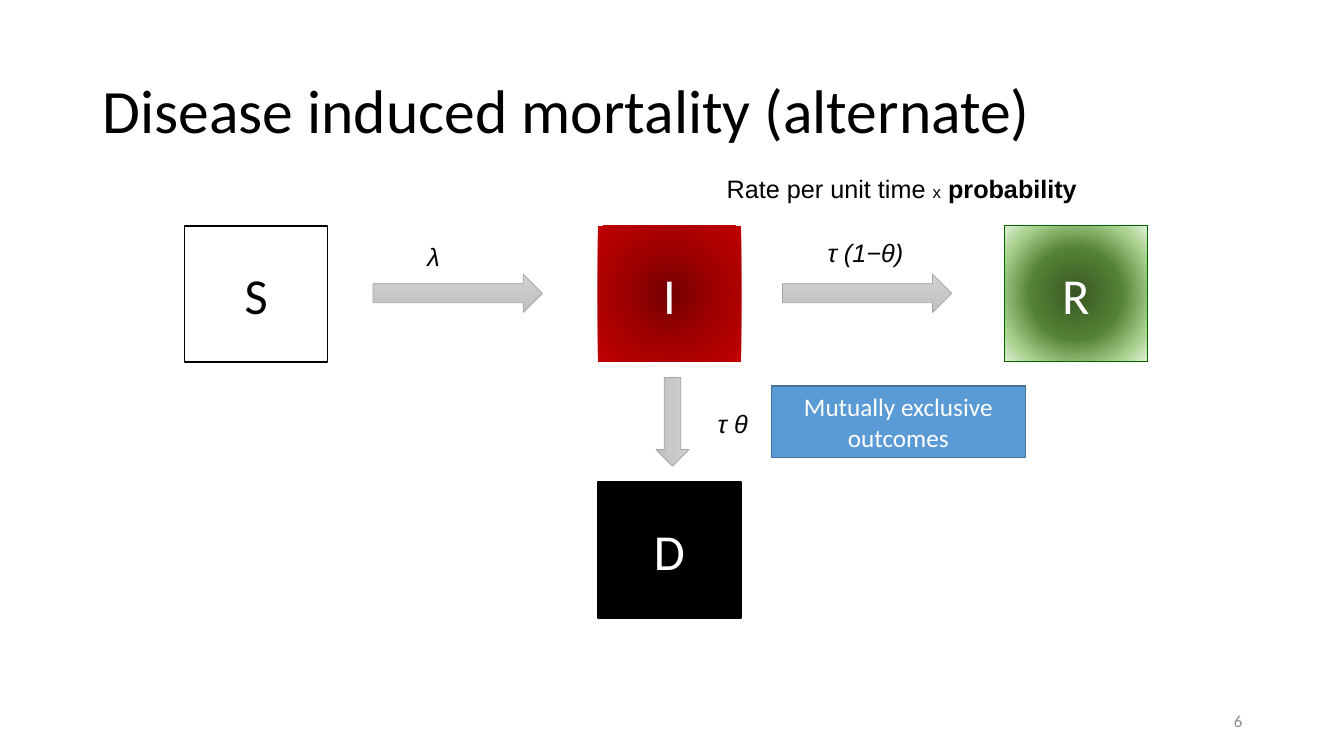
from dataclasses import dataclass

from lxml import etree
from pptx import Presentation
from pptx import util as u
from pptx.dml import color
from pptx.enum import shapes, text
from pptx.oxml import ns


@dataclass(frozen=True)
class Theme:
    heading_font: str = "Calibri"
    label_font: str = "Arial"
    title_size: int = 44
    state_size: int = 36
    body_size: int = 18
    small_size: int = 12
    black: str = "000000"
    white: str = "FFFFFF"
    gray: str = "8C8C8C"
    green_line: str = "006600"
    blue: str = "5B9BD5"
    blue_line: str = "43739E"
    arrow_line: str = "A5A5A5"
    arrow_stops: tuple = ((0, "D2D2D2"), (50, "C8C8C8"), (100, "C0C0C0"))
    red_stops: tuple = ((0, "720000"), (50, "A20000"), (100, "C00000"))
    green_stops: tuple = ((0, "385723"), (46, "548235"), (79, "A9D18E"), (100, "E2F0D9"))


THEME = Theme()
STATE_WIDTH, STATE_HEIGHT = 1.42, 1.35


def rgb(value):
    return color.RGBColor.from_string(value)


def fill_gradient(shape, stops, radial):
    """Give the shape a radial or a top-to-bottom gradient."""
    gradient = etree.Element(ns.qn("a:gradFill"), rotWithShape="1")
    stop_list = etree.SubElement(gradient, ns.qn("a:gsLst"))
    for position, value in stops:
        stop = etree.SubElement(stop_list, ns.qn("a:gs"), pos=str(position * 1000))
        etree.SubElement(stop, ns.qn("a:srgbClr"), val=value)
    if radial:
        circle = etree.SubElement(gradient, ns.qn("a:path"), path="circle")
        center = dict.fromkeys("ltrb", "50000")
        etree.SubElement(circle, ns.qn("a:fillToRect"), **center)
    else:
        etree.SubElement(gradient, ns.qn("a:lin"), ang="5400000", scaled="0")
    shape._element.spPr.find(ns.qn("a:prstGeom")).addnext(gradient)


def write(shape, runs, size, font, ink, align=text.PP_ALIGN.LEFT,
          anchor=text.MSO_ANCHOR.TOP, italic=False):
    """Write one paragraph; return it for further styling."""
    frame = shape.text_frame
    frame.word_wrap = True
    frame.vertical_anchor = anchor
    paragraph = frame.paragraphs[0]
    paragraph.alignment = align
    paragraph.font.size = u.Pt(size)
    paragraph.font.name = font
    paragraph.font.italic = italic
    paragraph.font.color.rgb = rgb(ink)
    for words in runs:
        paragraph.add_run().text = words
    return paragraph


def add_text(slide, box, runs, size, font, ink, **style):
    shape = slide.shapes.add_textbox(*map(u.Inches, box))
    return write(shape, runs, size, font, ink, **style)


def add_block(slide, box, fill, line=None, line_width=1.0,
              kind=shapes.MSO_SHAPE.RECTANGLE, radial=True):
    """Add a preset shape; fill is a colour or a tuple of gradient stops."""
    shape = slide.shapes.add_shape(kind, *map(u.Inches, box))
    shape.shadow.inherit = False
    if isinstance(fill, str):
        shape.fill.solid()
        shape.fill.fore_color.rgb = rgb(fill)
    else:
        fill_gradient(shape, fill, radial)
    if line:
        shape.line.color.rgb = rgb(line)
        shape.line.width = u.Pt(line_width)
    else:
        shape.line.fill.background()
    return shape


def add_centered(shape, words, size, ink):
    write(shape, [words], size, THEME.heading_font, ink,
          align=text.PP_ALIGN.CENTER, anchor=text.MSO_ANCHOR.MIDDLE)


def add_arrow(slide, box, rotation=0):
    arrow = add_block(slide, box, THEME.arrow_stops, THEME.arrow_line, 0.5,
                      shapes.MSO_SHAPE.RIGHT_ARROW, radial=False)
    arrow.rotation = rotation


def add_label(slide, box, *runs, italic=True):
    return add_text(slide, box, runs, THEME.body_size, THEME.label_font,
                    THEME.black, italic=italic)


def add_title(slide, box):
    paragraph = add_text(slide, box, ["Disease induced mortality (alternate)"],
                         THEME.title_size, THEME.heading_font, THEME.black,
                         anchor=text.MSO_ANCHOR.MIDDLE)
    paragraph.line_spacing = 0.9


def add_model(slide, box):
    """Draw the compartments, their transitions and the notes."""
    left, top, width, height = box
    middle = left + 4.1
    right = left + width - STATE_WIDTH
    bottom = top + height - STATE_HEIGHT

    # Compartments
    states = [
        ("S", left, top, THEME.white, THEME.black, 1, THEME.black),
        ("I", middle, top, THEME.red_stops, None, 0, THEME.white),
        ("R", right, top, THEME.green_stops, THEME.green_line, 0.75, THEME.white),
        ("D", middle, bottom, THEME.black, THEME.black, 1, THEME.white),
    ]
    for name, x, y, fill, line, line_width, ink in states:
        state = add_block(slide, (x, y, STATE_WIDTH, STATE_HEIGHT), fill, line, line_width)
        add_centered(state, name, THEME.state_size, ink)

    # Transitions
    for x in (left + 1.87, middle + 1.83):
        add_arrow(slide, (x, top + 0.48, 1.68, 0.38))
    add_arrow(slide, (middle + 0.3, top + 1.78, 0.88, 0.33), rotation=90)

    # Rates
    add_label(slide, (left + 2.31, top + 0.1, 0.49, 0.41), "λ")
    add_label(slide, (middle + 2.18, top + 0.07, 1.09, 0.4), "τ (1−θ)")
    add_label(slide, (middle + 1.09, top + 1.76, 1.09, 0.4), "τ θ")

    # Notes
    heading = add_label(slide, (middle + 1.18, top - 0.57, 4.27, 0.4),
                        "Rate per unit time ", "x", " ", "probability", italic=False)
    heading.runs[1].font.size = u.Pt(THEME.small_size)
    heading.runs[3].font.bold = True
    note = add_block(slide, (middle + 1.72, top + 1.59, 2.52, 0.71),
                     THEME.blue, THEME.blue_line)
    add_centered(note, "Mutually exclusive outcomes", THEME.body_size, THEME.white)


def add_page_number(slide, box):
    add_text(slide, box, ["6"], THEME.small_size, THEME.heading_font, THEME.gray,
             align=text.PP_ALIGN.RIGHT, anchor=text.MSO_ANCHOR.MIDDLE)


def main():
    presentation = Presentation()
    presentation.slide_width = u.Inches(13.33)
    presentation.slide_height = u.Inches(7.5)
    slide = presentation.slides.add_slide(presentation.slide_layouts[6])
    add_title(slide, (0.92, 0.4, 11.5, 1.45))
    add_model(slide, (1.83, 2.24, 9.55, 3.89))
    add_page_number(slide, (9.42, 6.95, 3, 0.4))
    presentation.save("out.pptx")


if __name__ == "__main__":
    main()
